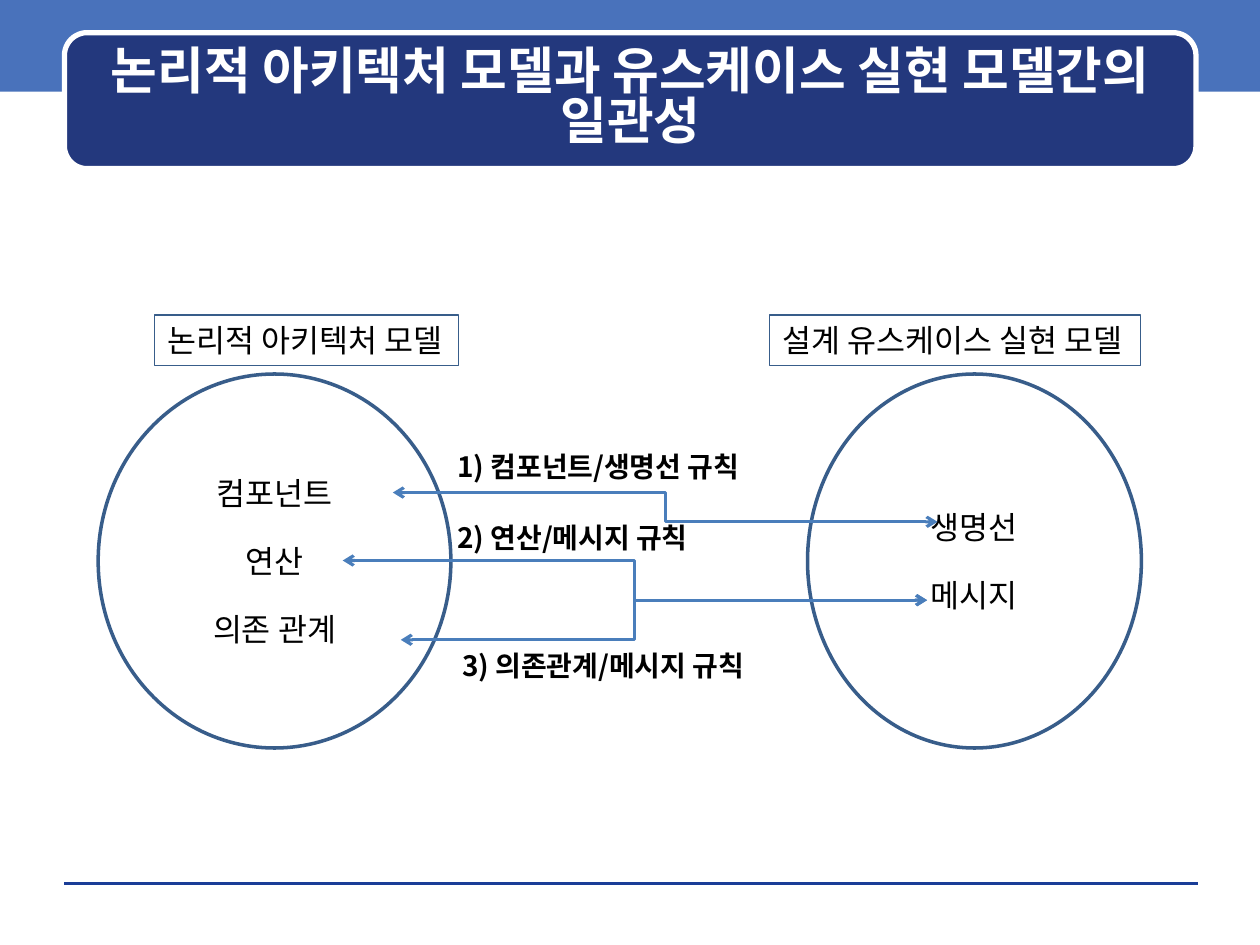
from dataclasses import dataclass
from lxml.etree import SubElement
from pptx import Presentation
from pptx.dml.color import RGBColor
from pptx.enum.shapes import MSO_CONNECTOR, MSO_SHAPE
from pptx.enum.text import MSO_ANCHOR, MSO_AUTO_SIZE, PP_ALIGN
from pptx.oxml.ns import qn
from pptx.util import Cm, Pt


@dataclass(frozen=True)
class Theme:
    font: str = "Noto Sans CJK KR"
    band: str = "4972BB"
    banner: str = "23387D"
    white: str = "FFFFFF"
    black: str = "000000"
    outline: str = "385D8A"
    arrow: str = "4A7EBB"
    rule: str = "1A3D97"
    title_size: float = 29
    body_size: float = 18
    label_size: float = 16


def set_all(target, values):
    for name, value in values.items():
        setattr(target, name, value)


class Deck:
    def __init__(self, theme):
        self.theme = theme
        self.prs = Presentation()
        set_all(self.prs, {"slide_width": Cm(25.4), "slide_height": Cm(19.05)})
        self.s = self.prs.slides.add_slide(self.prs.slide_layouts[5])

    def text(self, sp, lines, size, color, bold=False, align=PP_ALIGN.LEFT,
             anchor=MSO_ANCHOR.TOP, wrap=True, gap=0, spacing=1.0):
        tf = sp.text_frame
        set_all(tf, {
            "auto_size": MSO_AUTO_SIZE.NONE, "word_wrap": wrap,
            "vertical_anchor": anchor,
            "margin_left": Cm(0.25), "margin_right": Cm(0.25),
            "margin_top": Cm(0.13), "margin_bottom": Cm(0.13),
        })
        for i, line in enumerate(lines):
            p = tf.add_paragraph() if i else tf.paragraphs[0]
            set_all(p, {"alignment": align, "line_spacing": spacing})
            if i:
                p.space_before = Pt(gap)
            r = p.add_run()
            r.text = line
            set_all(r.font, {"size": Pt(size), "bold": bold, "name": self.theme.font})
            r.font.color.rgb = RGBColor.from_string(color)
            SubElement(r._r.get_or_add_rPr(), qn("a:ea"), typeface=self.theme.font)

    def shape(self, kind, box, fill=None, line=None, width=0):
        sp = self.s.shapes.add_shape(kind, *map(Cm, box))
        sp.shadow.inherit = False
        if fill:
            sp.fill.solid()
            sp.fill.fore_color.rgb = RGBColor.from_string(fill)
        else:
            sp.fill.background()
        if line:
            sp.line.color.rgb = RGBColor.from_string(line)
            sp.line.width = Pt(width)
        else:
            sp.line.fill.background()
        return sp

    def title(self, box, text):
        sp = self.s.shapes.title
        set_all(sp, dict(zip(("left", "top", "width", "height"), map(Cm, box))))
        self.s.shapes._spTree.append(sp._element)
        self.text(sp, [text], self.theme.title_size, self.theme.white, bold=True,
                  align=PP_ALIGN.CENTER, anchor=MSO_ANCHOR.MIDDLE, spacing=0.82)

    def model(self, box, items):
        sp = self.shape(MSO_SHAPE.OVAL, box, line=self.theme.outline, width=2)
        self.text(sp, items, self.theme.body_size, self.theme.black,
                  align=PP_ALIGN.CENTER, anchor=MSO_ANCHOR.MIDDLE, gap=17.3)

    def caption(self, box, text):
        sp = self.shape(MSO_SHAPE.RECTANGLE, box, line=self.theme.outline, width=0.75)
        self.text(sp, [text], self.theme.body_size, self.theme.black, wrap=False)

    def label(self, box, text):
        sp = self.s.shapes.add_textbox(*map(Cm, box))
        self.text(sp, [text], self.theme.label_size, self.theme.black,
                  bold=True, wrap=False)

    def line(self, kind, ends, color, width):
        c = self.s.shapes.add_connector(kind, *map(Cm, ends))
        c.line.color.rgb = RGBColor.from_string(color)
        c.line.width = Pt(width)
        SubElement(c._element.spPr, qn("a:effectLst"))
        return c

    def arrow(self, ends, bend):
        c = self.line(MSO_CONNECTOR.ELBOW, ends, self.theme.arrow, 1.75)
        ln = c.line._get_or_add_ln()
        for end in ("a:headEnd", "a:tailEnd"):
            SubElement(ln, qn(end), type="arrow")
        guides = c._element.spPr.prstGeom.get_or_add_avLst()
        ratio = (bend - ends[0]) / (ends[2] - ends[0])
        SubElement(guides, qn("a:gd"), name="adj1", fmla=f"val {round(ratio * 100000)}")


def main():
    theme = Theme()
    deck = Deck(theme)
    deck.shape(MSO_SHAPE.RECTANGLE, (0, -0.08, 25.4, 1.93), fill=theme.band)
    deck.line(MSO_CONNECTOR.STRAIGHT, (1.3, 17.81, 24.16, 17.81), theme.rule, 0)
    deck.shape(MSO_SHAPE.ROUNDED_RECTANGLE, (1.3, 0.66, 22.81, 2.74),
               fill=theme.banner, line=theme.white, width=3)
    deck.title((1.52, 0.89, 22.38, 2.24),
               "논리적 아키텍처 모델과 유스케이스 실현 모델간의 일관성")

    for left, width, items in (
        (16.28, 6.73, ["생명선", "메시지"]),
        (1.98, 7.11, ["컴포넌트", "연산", "의존 관계"]),
    ):
        deck.model((left, 7.54, width, 7.54), items)

    for left, width, text in (
        (15.52, 7.47, "설계 유스케이스 실현 모델"),
        (3.12, 6.12, "논리적 아키텍처 모델"),
    ):
        deck.caption((left, 6.35, width, 1.02), text)

    for ends, bend in (
        ((7.92, 9.93, 18.9, 10.52), 13.41),
        ((6.91, 11.3, 18.69, 12.1), 12.8),
        ((8.08, 12.9, 18.69, 12.1), 12.8),
    ):
        deck.arrow(ends, bend)

    for left, top, width, text in (
        (8.97, 8.94, 6.63, "1) 컴포넌트/생명선 규칙"),
        (8.97, 10.36, 5.59, "2) 연산/메시지 규칙"),
        (9.07, 12.95, 6.63, "3) 의존관계/메시지 규칙"),
    ):
        deck.label((left, top, width, 0.94), text)

    deck.prs.save("out.pptx")


if __name__ == "__main__":
    main()
